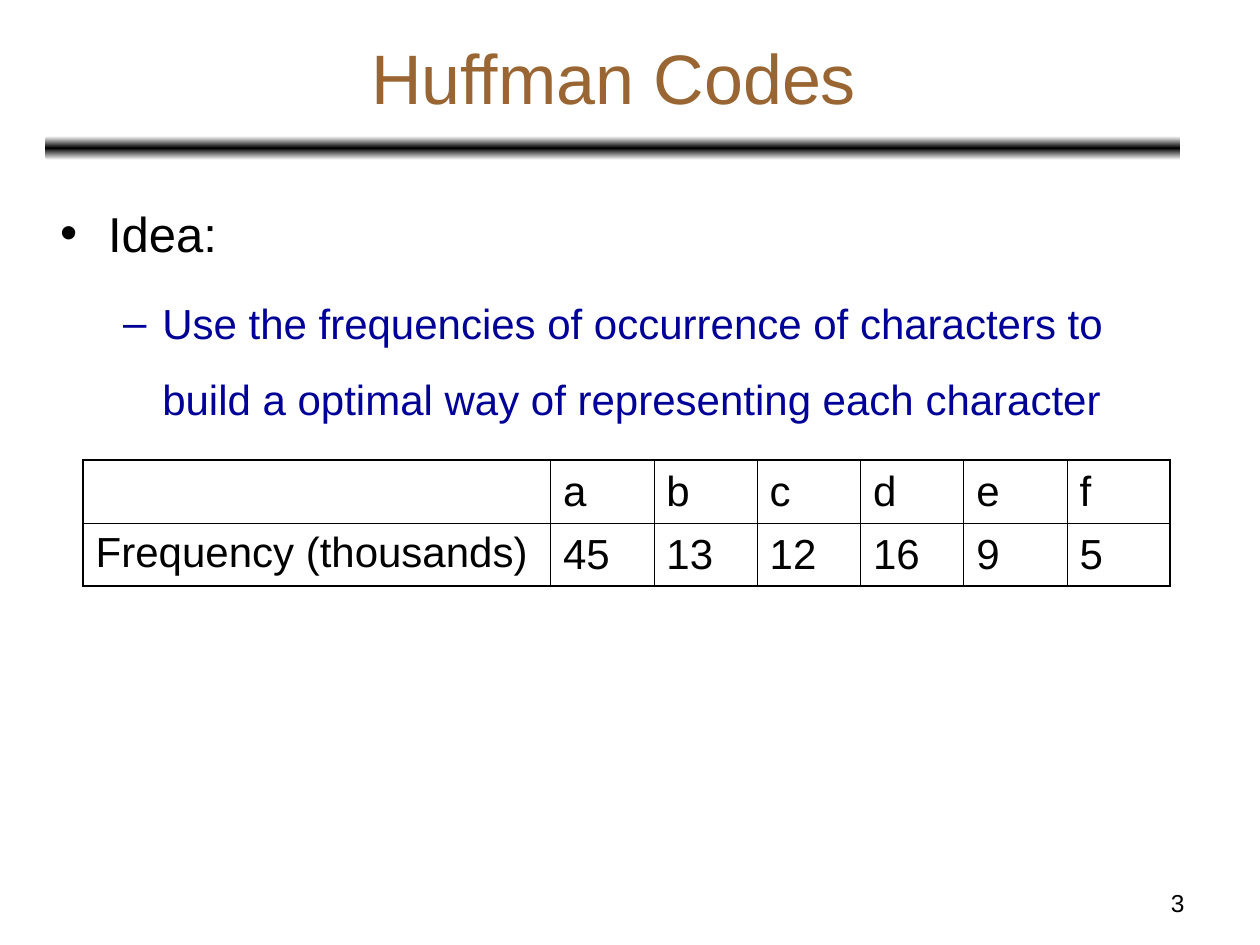
from copy import deepcopy
from dataclasses import dataclass

from lxml import etree
from pptx import Presentation
from pptx import util as u
from pptx.dml.color import RGBColor
from pptx.enum import shapes, text
from pptx.oxml.ns import qn


@dataclass(frozen=True)
class Theme:
    font: str = "Arial"
    black: str = "000000"
    white: str = "FFFFFF"
    brown: str = "996633"
    navy: str = "000099"
    title: int = 40
    idea: int = 28
    detail: int = 24
    number: int = 14
    inner_line: float = 0.45
    outer_line: float = 1.08


THEME = Theme()
FREQUENCIES = {"a": 45, "b": 13, "c": 12, "d": 16, "e": 9, "f": 5}


def box(left, top, width, height):
    return [u.Inches(n) for n in (left, top, width, height)]


def write(paragraph, words, size, color):
    run = paragraph.add_run()
    run.text = words
    run.font.name = THEME.font
    run.font.size = u.Pt(size)
    run.font.color.rgb = RGBColor.from_string(color)


def add_text_frame(slide, place, anchor=text.MSO_ANCHOR.TOP):
    frame = slide.shapes.add_textbox(*box(*place)).text_frame
    frame.word_wrap = True
    frame.vertical_anchor = anchor
    return frame


def add_line(slide, place, words, size, color, align, anchor=text.MSO_ANCHOR.TOP):
    paragraph = add_text_frame(slide, place, anchor).paragraphs[0]
    paragraph.alignment = align
    write(paragraph, words, size, color)


def add_rule(slide, place):
    rule = slide.shapes.add_shape(shapes.MSO_SHAPE.ROUNDED_RECTANGLE, *box(*place))
    rule.shadow.inherit = False
    rule.line.fill.background()
    rule.fill.gradient()
    rule.fill.gradient_angle = 90
    # White to black and back to white
    first, middle = rule.fill.gradient_stops
    first.color.rgb = RGBColor.from_string(THEME.white)
    middle.color.rgb = RGBColor.from_string(THEME.black)
    middle.position = 0.5
    stops = rule._element.spPr.find(qn("a:gradFill")).find(qn("a:gsLst"))
    last = deepcopy(stops[0])
    last.set("pos", "100000")
    stops.append(last)


def write_bullet(paragraph, mark, words, size, color, margin, hanging, before):
    paragraph.line_spacing = 1.5
    paragraph.space_before = u.Pt(before)
    props = paragraph._p.get_or_add_pPr()
    props.set("marL", str(u.Inches(margin)))
    props.set("indent", str(-u.Inches(hanging)))
    bullet_color = etree.SubElement(props, qn("a:buClr"))
    etree.SubElement(bullet_color, qn("a:srgbClr"), val=color)
    etree.SubElement(props, qn("a:buFont"), typeface=THEME.font)
    etree.SubElement(props, qn("a:buChar"), char=mark)
    write(paragraph, words, size, color)


def set_borders(cell, outer_sides):
    props = cell._tc.get_or_add_tcPr()
    for position, side in enumerate("LRTB"):
        width = THEME.outer_line if side in outer_sides else THEME.inner_line
        line = etree.Element(qn(f"a:ln{side}"), w=str(u.Pt(width)))
        fill = etree.SubElement(line, qn("a:solidFill"))
        etree.SubElement(fill, qn("a:srgbClr"), val=THEME.black)
        props.insert(position, line)


def add_table(slide, place, rows, widths):
    table = slide.shapes.add_table(len(rows), len(widths), *box(*place)).table
    table.first_row = table.horz_banding = False
    for column, width in zip(table.columns, widths):
        column.width = u.Inches(width)
    for r, row in enumerate(rows):
        for c, words in enumerate(row):
            cell = table.cell(r, c)
            cell.fill.background()
            if c > 0:
                cell.vertical_anchor = text.MSO_ANCHOR.MIDDLE
            edges = {"L": c == 0, "R": c == len(row) - 1,
                     "T": r == 0, "B": r == len(rows) - 1}
            set_borders(cell, [side for side, outer in edges.items() if outer])
            if words:
                paragraph = cell.text_frame.paragraphs[0]
                paragraph.space_before = u.Pt(6)
                write(paragraph, words, THEME.detail, THEME.black)


def main():
    deck = Presentation()
    deck.slide_width, deck.slide_height = u.Inches(10), u.Inches(7.5)
    slide = deck.slides.add_slide(deck.slide_layouts[6])

    # Heading and rule
    add_rule(slide, (0.36, 1.08, 9.01, 0.19))
    add_line(slide, (0.37, 0.11, 9, 0.99), "Huffman Codes", THEME.title,
             THEME.brown, text.PP_ALIGN.CENTER, text.MSO_ANCHOR.MIDDLE)

    # Idea
    idea = add_text_frame(slide, (0.38, 1.33, 9, 5.55))
    write_bullet(idea.paragraphs[0], "•", "Idea:", THEME.idea, THEME.black,
                 0.38, 0.38, 7)
    detail = idea.add_paragraph()
    detail.level = 1
    write_bullet(detail, "–",
                 "Use the frequencies of occurrence of characters to "
                 "build a optimal way of representing each character",
                 THEME.detail, THEME.navy, 0.81, 0.31, 6)

    # Character frequencies
    rows = [["", *FREQUENCIES],
            ["Frequency (thousands)", *map(str, FREQUENCIES.values())]]
    add_table(slide, (0.66, 3.65, 8.63, 1), rows,
              [3.71] + [0.82] * len(FREQUENCIES))

    # Slide number
    add_line(slide, (7.17, 7, 2.33, 0.35), "3", THEME.number, THEME.black,
             text.PP_ALIGN.RIGHT)

    deck.save("out.pptx")


if __name__ == "__main__":
    main()
